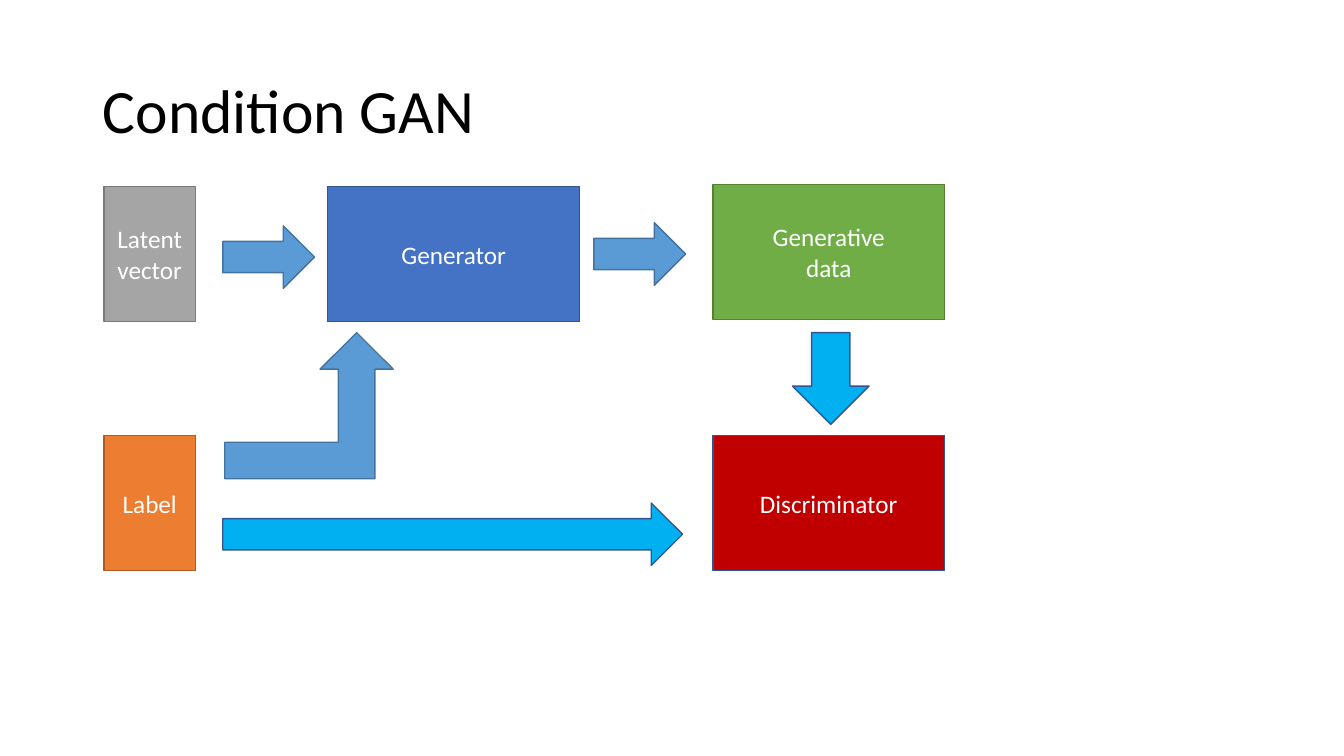
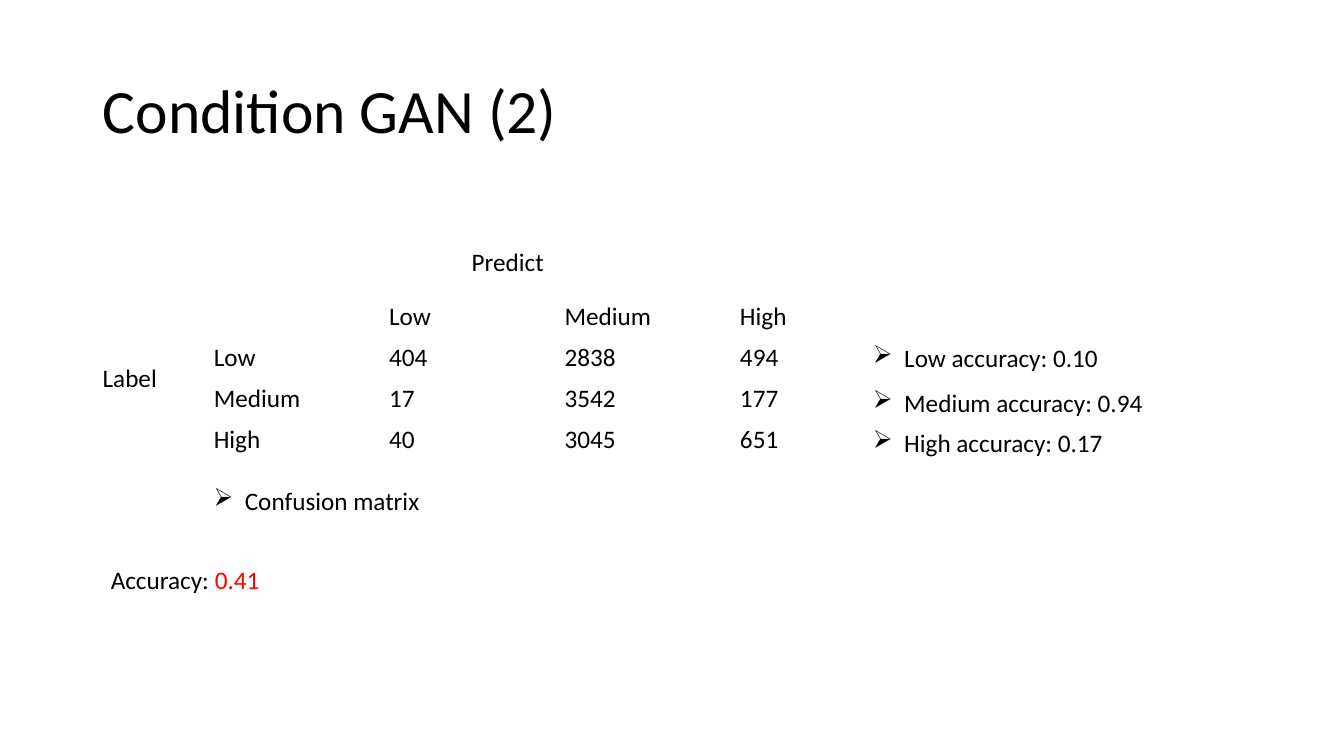
from lxml import etree
from pptx import Presentation
from pptx.dml.color import RGBColor
from pptx.enum import shapes, text
from pptx.oxml import ns
from pptx.util import Inches, Pt

Preset = shapes.MSO_SHAPE
BLACK, WHITE, RED = "000000", "FFFFFF", "FF0000"
STEEL = ("5B9BD5", "43739E")
SKY = ("00B0F0", "325491")


def color(value):
    return RGBColor.from_string(value)


class Deck:
    font_name = "Calibri"
    body_size = 18
    title_size = 44

    def __init__(self):
        self.deck = Presentation()
        self.deck.slide_width = Inches(13.33)
        self.deck.slide_height = Inches(7.5)
        self.page = None

    def style(self, span, value=BLACK, size=body_size):
        span.font.name = self.font_name
        span.font.size = Pt(size)
        span.font.color.rgb = color(value)

    def style_frame(self, frame, value=BLACK, size=body_size, align=text.PP_ALIGN.LEFT):
        for para in frame.paragraphs:
            para.alignment = align
            for span in para.runs:
                self.style(span, value, size)

    def add_page(self, heading):
        self.page = self.deck.slides.add_slide(self.deck.slide_layouts[5])
        title = self.page.shapes.title
        title.left, title.top = Inches(0.92), Inches(0.4)
        title.width, title.height = Inches(11.5), Inches(1.45)
        frame = title.text_frame
        frame.text = heading
        frame.vertical_anchor = text.MSO_ANCHOR.MIDDLE
        frame.paragraphs[0].line_spacing = 0.9
        self.style_frame(frame, size=self.title_size)

    def shape(self, preset, left, top, width, height, colors, label=""):
        fill, line = colors
        shape = self.page.shapes.add_shape(
            preset, Inches(left), Inches(top), Inches(width), Inches(height))
        shape.shadow.inherit = False
        shape.fill.solid()
        shape.fill.fore_color.rgb = color(fill)
        shape.line.color.rgb = color(line)
        shape.line.width = Pt(1)
        if label:
            shape.text_frame.text = label
            shape.text_frame.vertical_anchor = text.MSO_ANCHOR.MIDDLE
            self.style_frame(shape.text_frame, WHITE, align=text.PP_ALIGN.CENTER)

    def text_box(self, left, top, width, words, bullet=False):
        box = self.page.shapes.add_textbox(
            Inches(left), Inches(top), Inches(width), Inches(0.4))
        frame = box.text_frame
        frame.word_wrap = True
        frame.auto_size = text.MSO_AUTO_SIZE.SHAPE_TO_FIT_TEXT
        frame.text = words
        para = frame.paragraphs[0]
        if bullet:
            properties = para._p.get_or_add_pPr()
            properties.set("marL", str(Inches(0.31)))
            properties.set("indent", str(-Inches(0.31)))
            etree.SubElement(properties, ns.qn("a:buChar")).set("char", "➢")
        self.style_frame(frame)
        return para

    def table(self, left, top, column_width, row_height, rows):
        columns = len(rows[0])
        table = self.page.shapes.add_table(
            len(rows), columns, Inches(left), Inches(top),
            Inches(column_width * columns), Inches(row_height * len(rows))).table
        table.first_row = table.horz_banding = False
        for row, values in zip(table.rows, rows):
            row.height = Inches(row_height)
            for cell, value in zip(row.cells, values):
                cell.fill.background()
                cell.text = value
                self.style_frame(cell.text_frame)
        for column in table.columns:
            column.width = Inches(column_width)


def build_diagram(deck):
    deck.add_page("Condition GAN")
    blocks = [
        (1.03, 1.85, 0.91, ("A5A5A5", "7A7A7A"), "Latent vector"),
        (1.03, 4.32, 0.91, ("ED7D31", "AF5C24"), "Label"),
        (3.25, 1.85, 2.5, ("4472C4", "325491"), "Generator"),
        (7.07, 1.83, 2.3, ("70AD47", "538035"), "Generative\ndata"),
        (7.07, 4.32, 2.3, ("C00000", "325491"), "Discriminator"),
    ]
    for left, top, width, colors, label in blocks:
        deck.shape(Preset.RECTANGLE, left, top, width, 1.34, colors, label)
    arrows = [
        (Preset.BENT_UP_ARROW, 2.23, 3.3, 1.67, 1.45, STEEL),
        (Preset.RIGHT_ARROW, 2.21, 2.24, 0.91, 0.62, STEEL),
        (Preset.RIGHT_ARROW, 5.89, 2.21, 0.91, 0.62, STEEL),
        (Preset.RIGHT_ARROW, 2.21, 4.99, 4.56, 0.62, SKY),
        (Preset.DOWN_ARROW, 7.86, 3.3, 0.76, 0.91, SKY),
    ]
    for arrow in arrows:
        deck.shape(*arrow)


def build_results(deck):
    deck.add_page("Condition GAN (2)")
    deck.table(2.02, 2.94, 1.74, 0.405, [
        ("", "Low", "Medium", "High"),
        ("Low", "404", "2838", "494"),
        ("Medium", "17", "3542", "177"),
        ("High", "40", "3045", "651"),
    ])
    deck.text_box(4.58, 2.39, 1.84, "Predict")
    deck.text_box(0.92, 3.55, 1.84, "Label")
    deck.text_box(2.02, 4.77, 2.65, "Confusion matrix", bullet=True)
    accuracy = deck.text_box(1, 5.55, 3.98, "Accuracy: ")
    score = accuracy.add_run()
    score.text = "0.41"
    deck.style(score, RED)
    for top, words in [(3.35, "Low accuracy: 0.10"),
                       (3.79, "Medium accuracy: 0.94"),
                       (4.19, "High accuracy: 0.17")]:
        deck.text_box(8.56, top, 3.12, words, bullet=True)


def main():
    deck = Deck()
    build_diagram(deck)
    build_results(deck)
    deck.deck.save("out.pptx")


if __name__ == "__main__":
    main()
